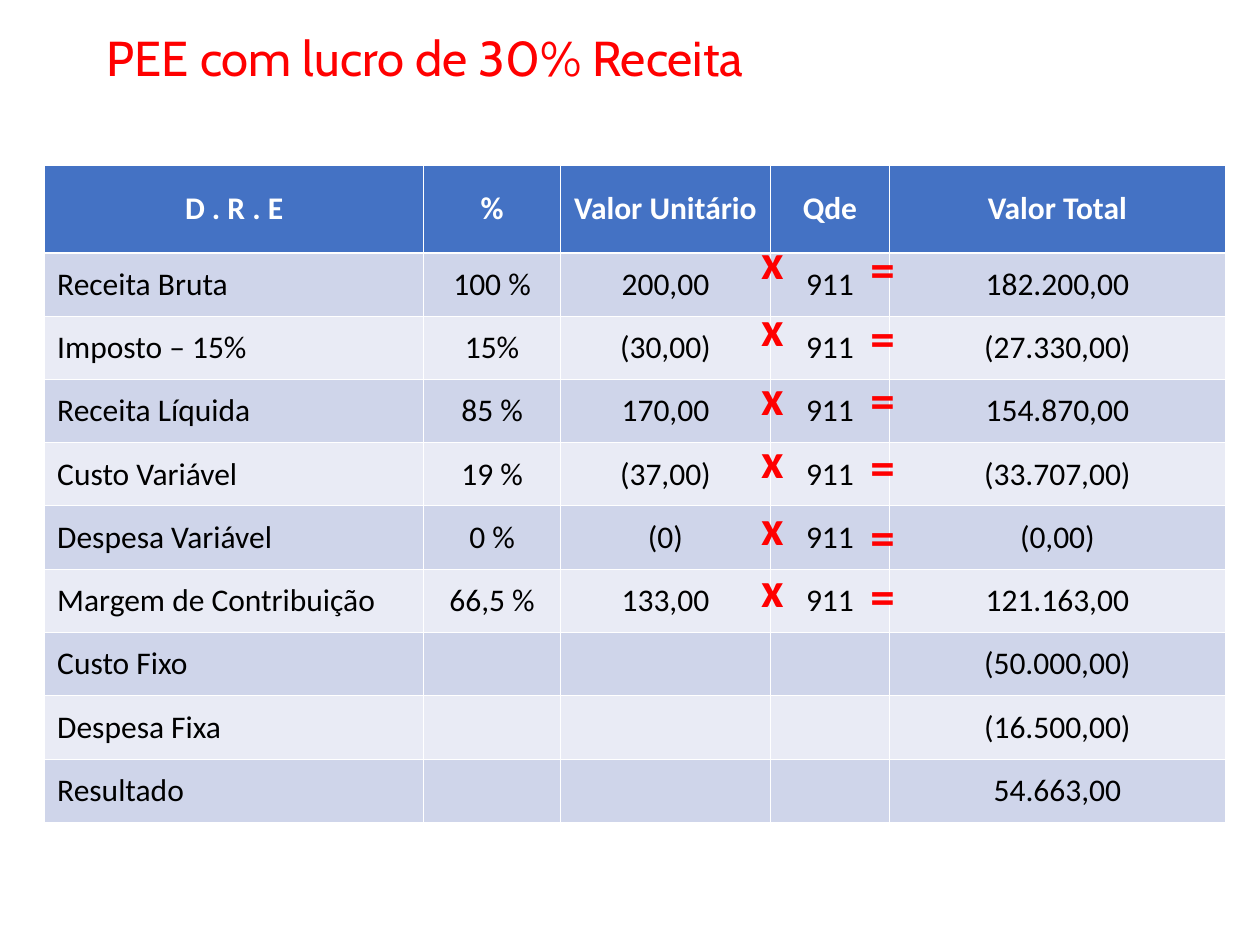
from dataclasses import dataclass

from lxml import etree
from pptx import Presentation
from pptx import util as u
from pptx.dml import color
from pptx.enum import shapes, text
from pptx.oxml import ns


@dataclass(frozen=True)
class Theme:
    red: str = "FF0000"
    white: str = "FFFFFF"
    ink: str = "000000"
    head: str = "4472C4"
    bands: tuple[str, str] = ("CFD5EA", "E9EBF5")
    title: str = "Cabin"
    body: str = "Calibri"
    large: float = 28
    small: float = 18
    thin: float = 0.45
    thick: float = 1.47
    rule: float = 2.25


@dataclass(frozen=True)
class Label:
    words: str
    left: float
    top: float
    width: float
    face: str
    bold: bool


@dataclass(frozen=True)
class Signs:
    mark: str
    left: float
    tops: tuple[float, ...]


THEME = Theme()
WIDTHS = (216.6, 78.2, 120, 68, 192)
HEAD, ROW = 49.8, 36.18
ROWS = (
    ("D . R . E", "%", "Valor Unitário", "Qde", "Valor Total"),
    ("Receita Bruta", "100 %", "200,00", "911", "182.200,00"),
    ("Imposto – 15%", "15%", "(30,00)", "911", "(27.330,00)"),
    ("Receita Líquida", "85 %", "170,00", "911", "154.870,00"),
    ("Custo Variável", "19 %", "(37,00)", "911", "(33.707,00)"),
    ("Despesa Variável", "0 %", "(0)", "911", "(0,00)"),
    ("Margem de Contribuição", "66,5 %", "133,00", "911", "121.163,00"),
    ("Custo Fixo", "", "", "", "(50.000,00)"),
    ("Despesa Fixa", "", "", "", "(16.500,00)"),
    ("Resultado", "", "", "", "54.663,00"),
)
SIGNS = (
    Signs("x", 427.9, (128.2, 166.3, 205.9, 241.9, 280.1, 315.4)),
    Signs("=", 490.3, (132.5, 172.1, 207.4, 245.7, 285.8, 319.7)),
)


def paint(tint: str) -> color.RGBColor:
    return color.RGBColor.from_string(tint)


def style(para, face: str, size: float, tint: str, bold: bool) -> None:
    font = para.font
    font.name, font.size, font.bold = face, u.Pt(size), bold
    font.color.rgb = paint(tint)


def draw_rule(slide) -> None:
    rule = slide.shapes.add_connector(
        shapes.MSO_CONNECTOR.STRAIGHT,
        u.Pt(672), u.Pt(57.6), u.Pt(60), u.Pt(57.6))
    rule.line.color.rgb = paint(THEME.white)
    rule.line.width = u.Pt(THEME.rule)
    etree.SubElement(rule._element.spPr, ns.qn("a:effectLst"))


def write(slide, label: Label) -> None:
    box = slide.shapes.add_textbox(
        u.Pt(label.left), u.Pt(label.top), u.Pt(label.width), u.Pt(41))
    frame = box.text_frame
    frame.word_wrap = True
    frame.auto_size = text.MSO_AUTO_SIZE.SHAPE_TO_FIT_TEXT
    para = frame.paragraphs[0]
    para.text = label.words
    style(para, label.face, THEME.large, THEME.red, label.bold)


def border(cell, row: int) -> None:
    props = cell._tc.get_or_add_tcPr()
    heavy = {"lnT": row == 1, "lnB": row == 0}
    for at, side in enumerate(("lnL", "lnR", "lnT", "lnB")):
        width = THEME.thick if heavy.get(side) else THEME.thin
        line = etree.Element(ns.qn(f"a:{side}"), w=str(int(u.Pt(width))))
        fill = etree.SubElement(line, ns.qn("a:solidFill"))
        etree.SubElement(fill, ns.qn("a:srgbClr"), val=THEME.white)
        props.insert(at, line)


def fill_cell(cell, words: str, row: int, col: int) -> None:
    top = row == 0
    cell.fill.solid()
    tint = THEME.head if top else THEME.bands[(row - 1) % 2]
    cell.fill.fore_color.rgb = paint(tint)
    border(cell, row)
    cell.vertical_anchor = text.MSO_ANCHOR.MIDDLE
    para = cell.text_frame.paragraphs[0]
    para.text = words
    if top or col:
        para.alignment = text.PP_ALIGN.CENTER
    style(para, THEME.body, THEME.small, THEME.white if top else THEME.ink, top)


def draw_table(slide) -> None:
    high = HEAD + ROW * (len(ROWS) - 1)
    table = slide.shapes.add_table(
        len(ROWS), len(WIDTHS), u.Pt(25.5), u.Pt(94.6),
        u.Pt(sum(WIDTHS)), u.Pt(high)).table
    for col, width in zip(table.columns, WIDTHS):
        col.width = u.Pt(width)
    for row, cells in enumerate(ROWS):
        table.rows[row].height = u.Pt(ROW if row else HEAD)
        for col, words in enumerate(cells):
            fill_cell(table.cell(row, col), words, row, col)


def main() -> None:
    deck = Presentation()
    deck.slide_width, deck.slide_height = u.Pt(720), u.Pt(540)
    slide = deck.slides.add_slide(deck.slide_layouts[6])
    draw_rule(slide)
    write(slide, Label("PEE com lucro de 30% Receita", 54, 12.2, 571.7,
                       THEME.title, False))
    draw_table(slide)
    for signs in SIGNS:
        for top in signs.tops:
            write(slide, Label(signs.mark, signs.left, top, 28,
                               THEME.body, True))
    deck.save("out.pptx")


if __name__ == "__main__":
    main()
